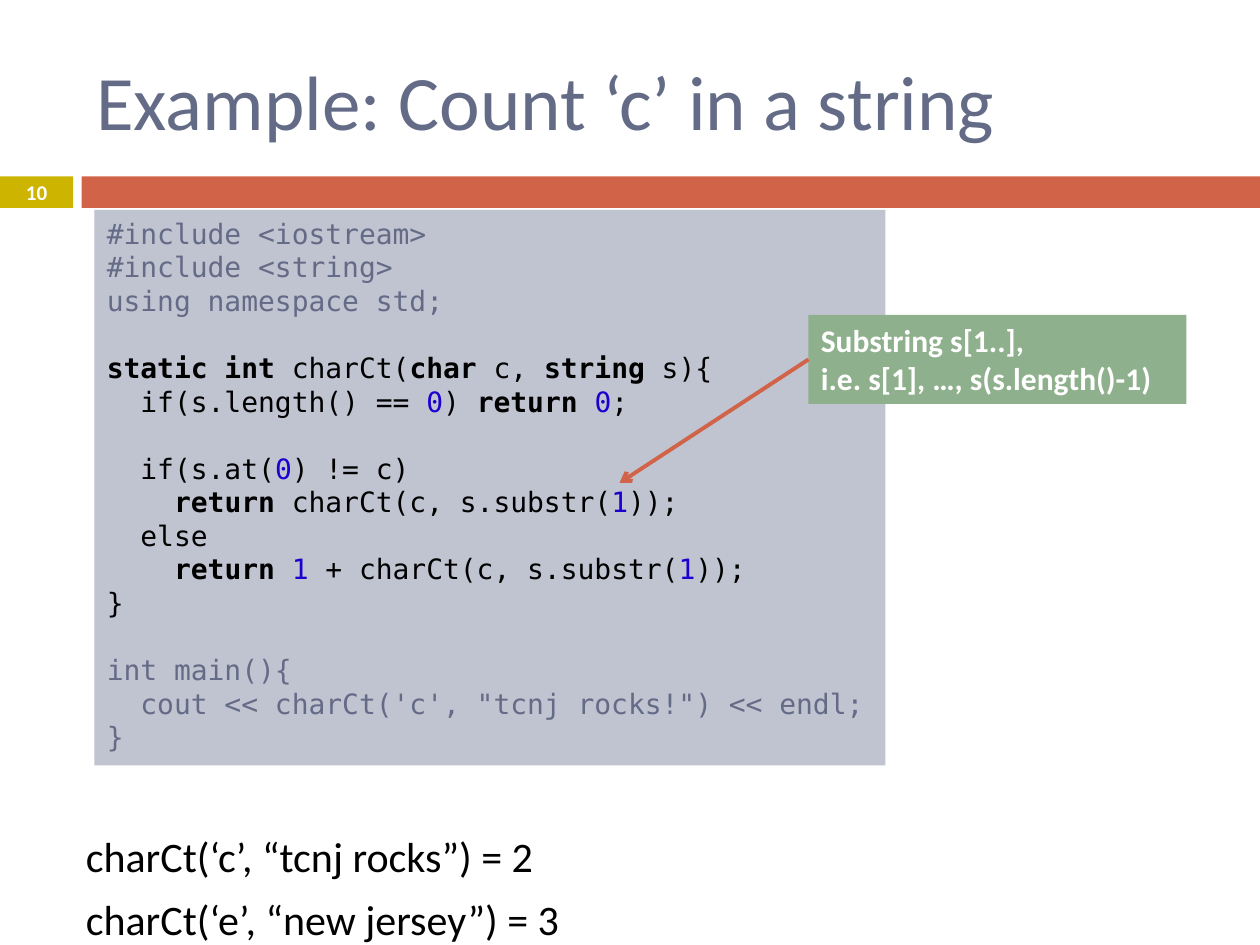
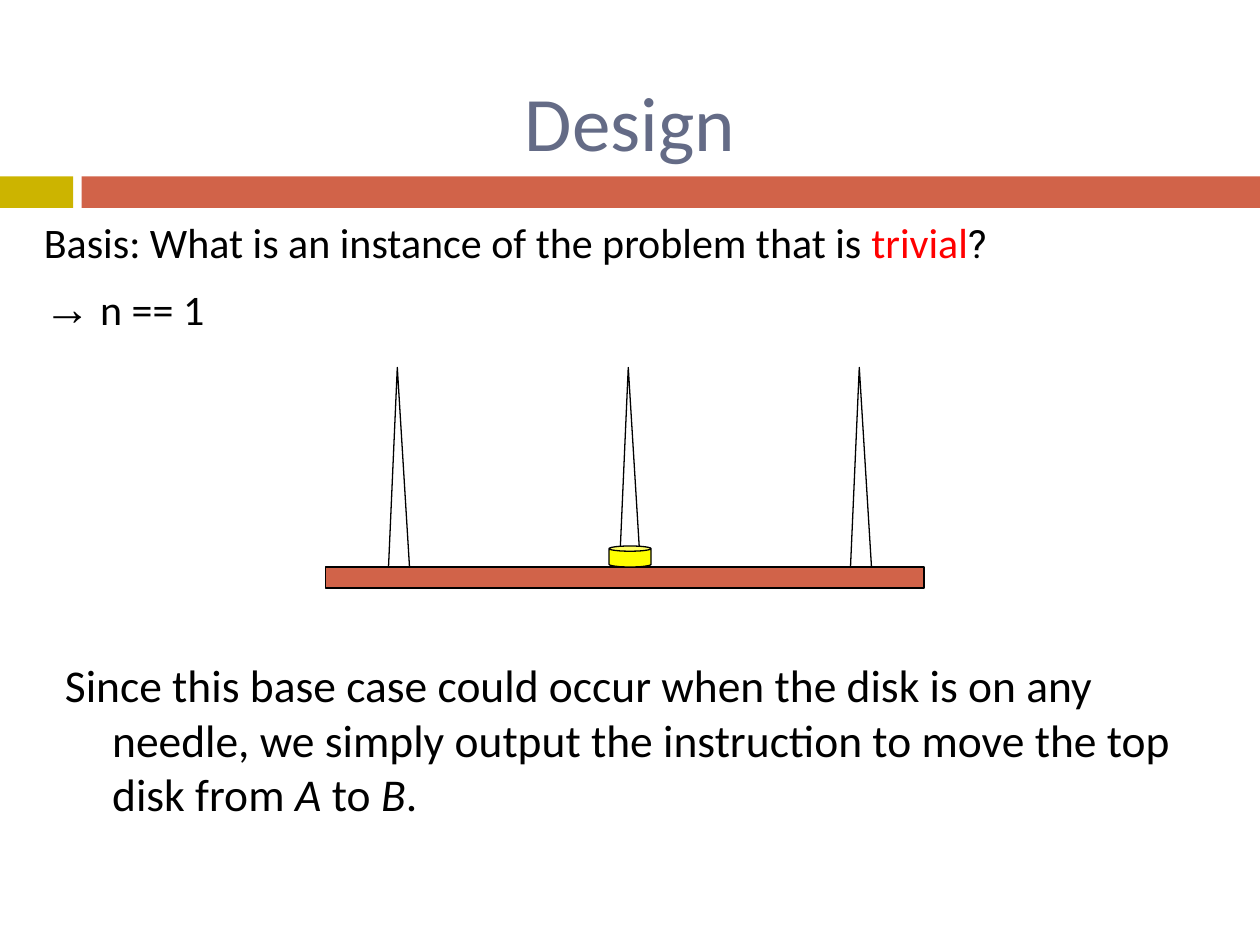
from lxml import etree
from pptx import Presentation
from pptx.dml.color import RGBColor
from pptx.enum import shapes, text
from pptx.oxml.ns import qn
from pptx.util import Pt

COLORS = {
    "slate": "646B86", "brick": "D16349", "mustard": "CCB400", "code_bg": "C0C3D0",
    "sage": "8FB08C", "number": "1C00CF", "red": "FF0000", "yellow": "FFFF00",
    "black": "000000", "white": "FFFFFF",
}
TITLE = {"name": "Calibri", "size": Pt(44), "color": "slate"}
BODY = {"name": "Calibri", "size": Pt(24), "color": "black"}
CONCLUSION = {**BODY, "size": Pt(26)}
PAGE_NUMBER = {"name": "Calibri", "size": Pt(12), "bold": True, "color": "white"}
CALLOUT = {**PAGE_NUMBER, "size": Pt(18)}
CODE = {"name": "DejaVu Sans Mono", "size": Pt(16), "color": "black"}
MUTED_CODE = {**CODE, "color": "slate"}

# Pieces of a line are split by "|"; a leading mark changes the format of its piece.
MARKS = {
    "*": {"bold": True},
    "_": {"italic": True},
    "@": {"color": "number"},
    "!": {"color": "red"},
    "~": {"name": "Roboto", "size": Pt(22.2)},
    "→": {"name": "Arial", "size": Pt(26.8)},
}
CODE_LINE = 19.2
CODE_BLOCKS = [
    (MUTED_CODE, ["#include <iostream>", "#include <string>", "using namespace std;"]),
    (CODE, ["*static int |charCt(|*char| c, |*string| s){",
            "  if(s.length() == |@0|) |*return |@0|;"]),
    (CODE, ["  if(s.at(|@0|) != c)",
            "    |*return |charCt(c, s.substr(|@1|));",
            "  else",
            "    |*return |@1| + charCt(c, s.substr(|@1|));",
            "}"]),
    (MUTED_CODE, ["int main(){",
                  "  cout << charCt('c', \"tcnj rocks!\") << endl;",
                  "}"]),
]


def rgb(color):
    return RGBColor.from_string(COLORS[color])


def style_font(font, style):
    for attribute, value in style.items():
        if attribute == "color":
            font.color.rgb = rgb(value)
        else:
            setattr(font, attribute, value)


def write(frame, lines, style, align=text.PP_ALIGN.LEFT, hanging=0, **spacing):
    """Append marked-up lines to a text frame, one paragraph each."""
    for line in lines:
        started = frame.paragraphs[-1].runs
        paragraph = frame.add_paragraph() if started else frame.paragraphs[0]
        paragraph.alignment = align
        for attribute, value in spacing.items():
            setattr(paragraph, attribute, value)
        if hanging:
            properties = paragraph._p.get_or_add_pPr()
            properties.set("marL", str(Pt(hanging)))
            properties.set("indent", str(-Pt(hanging)))
        for piece in line.split("|"):
            mark = MARKS.get(piece[0], {})
            run = paragraph.add_run()
            run.text = piece[1:] if mark and piece[0] != "→" else piece
            style_font(run.font, {**style, **mark})


def add_text(slide, box, lines, style, anchor=text.MSO_ANCHOR.TOP, **layout):
    frame = slide.shapes.add_textbox(*map(Pt, box)).text_frame
    frame.word_wrap = True
    frame.vertical_anchor = anchor
    write(frame, lines, style, **layout)


def add_block(slide, box, fill, kind=shapes.MSO_SHAPE.RECTANGLE, outlined=False, adjust=None):
    block = slide.shapes.add_shape(kind, *map(Pt, box))
    block.shadow.inherit = False
    block.fill.solid()
    block.fill.fore_color.rgb = rgb(fill)
    if outlined:
        block.line.color.rgb = rgb("black")
        block.line.width = Pt(0.75)
    else:
        block.line.fill.background()
    if adjust is not None:
        block.adjustments[0] = adjust
    block.text_frame.vertical_anchor = text.MSO_ANCHOR.TOP
    return block


def add_arrow(slide, start, end):
    arrow = slide.shapes.add_connector(shapes.MSO_CONNECTOR.STRAIGHT, *map(Pt, start + end))
    arrow.line.color.rgb = rgb("brick")
    arrow.line.width = Pt(2.25)
    etree.SubElement(arrow.line._get_or_add_ln(), qn("a:tailEnd"), type="arrow")
    etree.SubElement(arrow._element.spPr, qn("a:effectLst"))


def add_titled_slide(deck, title, box, align=text.PP_ALIGN.LEFT):
    slide = deck.slides.add_slide(deck.slide_layouts[6])
    add_block(slide, (0, 100.8, 41.8, 18), "mustard")
    add_block(slide, (46.6, 100.8, 673.4, 18), "brick")
    add_text(slide, box, [title], TITLE, text.MSO_ANCHOR.MIDDLE, align=align)
    return slide


def add_code(slide, box):
    frame = add_block(slide, box, "code_bg").text_frame
    frame.word_wrap = False
    for number, (style, lines) in enumerate(CODE_BLOCKS):
        spacing = {"line_spacing": Pt(CODE_LINE)}
        gap = Pt(CODE_LINE if number else 0)
        write(frame, lines[:1], style, space_before=gap, **spacing)
        write(frame, lines[1:], style, **spacing)


def add_needles(slide):
    """Draw three needles on a board, with one disk on the middle needle."""
    for number in range(3):
        add_block(slide, (222 + 132 * number, 210, 12, 114), "white",
                  shapes.MSO_SHAPE.ISOSCELES_TRIANGLE, outlined=True, adjust=0.42)
    add_block(slide, (186, 324, 342, 12), "brick", outlined=True)
    add_block(slide, (348, 312, 24, 12), "yellow", shapes.MSO_SHAPE.CAN,
              outlined=True, adjust=0.25)


def build_count_slide(deck):
    slide = add_titled_slide(deck, "Example: Count ‘c’ in a string", (48, 18, 642, 78))
    add_text(slide, (0, 100, 41.8, 19.6), ["10"], PAGE_NUMBER,
             text.MSO_ANCHOR.MIDDLE, align=text.PP_ALIGN.CENTER)
    add_text(slide, (42, 471, 642, 72),
             ["charCt(‘c’, “tcnj rocks”) = 2", "charCt(‘e’, “new jersey”) = 3"],
             BODY, space_before=Pt(7))
    add_code(slide, (54, 120, 452, 317.4))
    callout = add_block(slide, (462, 180, 216, 50.9), "sage")
    write(callout.text_frame, ["Substring s[1..],", "i.e. s[1], …, s(s.length()-1)"], CALLOUT)
    add_arrow(slide, (462, 205.4), (354, 276))


def build_design_slide(deck):
    slide = add_titled_slide(deck, "Design", (72, 24, 576, 90), text.PP_ALIGN.CENTER)
    add_text(slide, (18, 120, 690, 72),
             ["Basis: What is an instance of the problem that is |!trivial|~?", "→| n == 1"],
             BODY, hanging=25, space_before=Pt(7))
    add_text(slide, (30, 372, 672, 72),
             ["Since this base case could occur when the disk is on any needle, we simply "
              "output the instruction to move the top disk from |_A |to |_B|."],
             CONCLUSION, hanging=27)
    add_needles(slide)


def main():
    deck = Presentation()
    deck.slide_width, deck.slide_height = Pt(720), Pt(540)
    build_count_slide(deck)
    build_design_slide(deck)
    deck.save("out.pptx")


if __name__ == "__main__":
    main()
